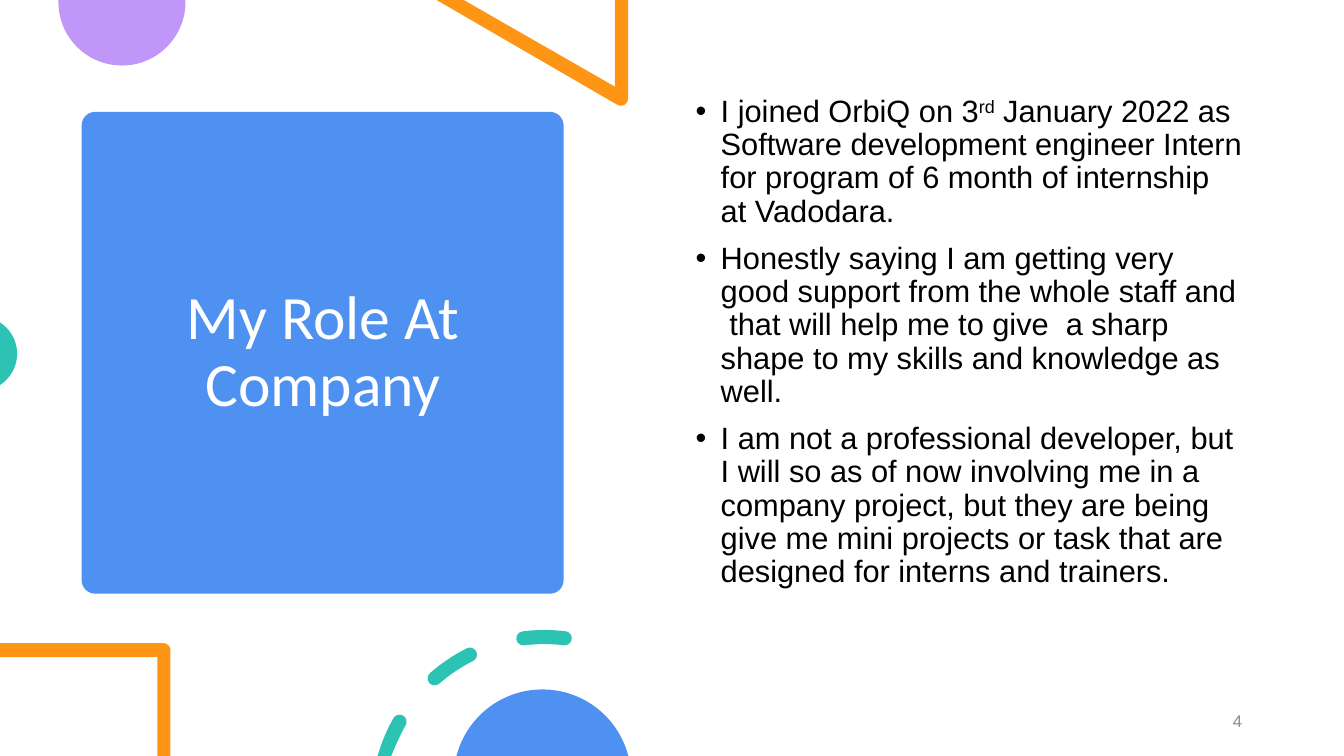
import math

from pptx import Presentation
from pptx import util as u
from pptx.dml.color import RGBColor
from pptx.enum import shapes, text
from pptx.oxml import parse_xml
from pptx.oxml.ns import nsdecls, qn

COLORS = {
    "blue": "4E91F0",
    "orange": "FF9514",
    "teal": "2CC3B4",
    "purple": "C097F8",
    "white": "FFFFFF",
    "black": "000000",
    "gray": "8C8C8C",
}
WIDTH, HEIGHT = 13.33, 7.5
ROUNDING = 0.07  # radius of stroke ends and corners

ROLE_POINTS = [
    [("I joined OrbiQ on 3", False), ("rd", True),
     (" January 2022 as Software development engineer Intern for program "
      "of 6 month of internship at Vadodara.", False)],
    [("Honestly saying I am getting very good support from the whole staff "
      "and  that will help me to give  a sharp shape to my skills and "
      "knowledge as well.", False)],
    [("I am not a professional developer, but I will so as of now involving "
      "me in a company project, but they are being give me mini projects or "
      "task that are designed for interns and trainers.", False)],
]


def inches(values):
    return [u.Inches(v) for v in values]


def paint(sp, color):
    """Give a shape a flat fill without line or shadow."""
    sp.shadow.inherit = False
    sp.fill.solid()
    sp.fill.fore_color.rgb = RGBColor.from_string(COLORS[color])
    sp.line.fill.background()


def add_run(p, content, size=22, font="Arial", color="black", superscript=False):
    r = p.add_run()
    r.text = content
    r.font.size = u.Pt(size)
    r.font.name = font
    r.font.color.rgb = RGBColor.from_string(COLORS[color])
    if superscript:
        r.font._element.set("baseline", "30000")


def set_frame(sp, anchor):
    tf = sp.text_frame
    tf.word_wrap = True
    tf.auto_size = text.MSO_AUTO_SIZE.NONE
    tf.vertical_anchor = anchor
    return tf


def lines(*points):
    return [(pt,) for pt in points]


def arc(cx, cy, r, start, end):
    """Start point and Bézier triples; degrees run clockwise from the right."""
    count = math.ceil(abs(end - start) / 90)
    step = math.radians(end - start) / count
    k = 4 / 3 * math.tan(step / 4)

    def at(a, pull):
        return (cx + r * (math.cos(a) - pull * math.sin(a)),
                cy + r * (math.sin(a) + pull * math.cos(a)))

    first = math.radians(start)
    segments = [(at(first, 0),)]
    for i in range(count):
        a, b = first + i * step, first + (i + 1) * step
        segments.append((at(a, k), at(b, -k), at(b, 0)))
    return segments


def add_outline(s, contours, color):
    """Fill closed contours of line and curve segments as one freeform."""
    fb, drawn = None, []
    for (start,), *segments in contours:
        x, y = inches(start)
        if fb is None:
            fb = s.shapes.build_freeform(x, y)
        else:
            fb.move_to(x, y)
        fb.add_line_segments([inches((px, min(py, HEIGHT)))
                              for seg in segments for px, py in seg])
        drawn += segments
    sp = fb.convert_to_shape()
    steps = iter(list(sp._element.iter(qn("a:lnTo"))))
    for seg in drawn:
        parts = [next(steps) for _ in seg]
        if len(parts) == 3:
            curve = parse_xml(f'<a:cubicBezTo {nsdecls("a")}/>')
            parts[0].addprevious(curve)
            for part in parts:
                curve.append(part[0])
                part.getparent().remove(part)
    paint(sp, color)


def dash(cx, cy, r, start, end, capped_start=True):
    """Contour of a thick arc with round ends."""
    def cap(angle, turn):
        a = math.radians(angle)
        return arc(cx + r * math.cos(a), cy + r * math.sin(a), ROUNDING,
                   angle + turn, angle + turn + 180)[1:]

    contour = arc(cx, cy, r + ROUNDING, start, end) + cap(end, 0)
    contour += arc(cx, cy, r - ROUNDING, end, start)[1:]
    return contour + cap(start, 180) if capped_start else contour


def add_top_decoration(s, left, top):
    disc = lines((left + 1.26, top), (left, top), (left, top + 0.02))
    disc += arc(left + 0.63, top + 0.02, 0.63, 180, 0)[1:]
    add_outline(s, [disc], "purple")
    triangle = lines((6.23, top), (6.1, top), (6.1, top + 0.86),
                     (4.6, top), (4.33, top))
    triangle += arc(6.16, top + 0.98, ROUNDING, 120, 0)
    add_outline(s, [triangle], "orange")


def add_left_decoration(s, middle):
    add_outline(s, [arc(-0.2, middle, 0.37, -57, 57)], "teal")


def add_bottom_decoration(s, top):
    """Corner frame, dashed ring and half disc above the slide's lower edge."""
    frame = lines((0, top + 0.13), (0, top + 0.27), (1.56, top + 0.27),
                  (1.56, HEIGHT), (1.69, HEIGHT))
    frame += arc(1.62, top + 0.2, ROUNDING, 0, -90)
    add_outline(s, [frame], "orange")

    ring = (5.4, top + 1.72, 1.65)
    add_outline(s, [dash(*ring, 195.9, 209.4, capped_start=False),
                    dash(*ring, 228.7, 243.4),
                    dash(*ring, 262.7, 277)], "teal")

    add_outline(s, [arc(5.38, top + 1.47, 0.88, 194.5, 345.5)], "blue")


def add_backdrop(s):
    backdrop = s.shapes.add_shape(shapes.MSO_SHAPE.RECTANGLE,
                                  *inches((0, 0, WIDTH, HEIGHT)))
    paint(backdrop, "white")


def add_title_panel(s, x, y, side):
    panel = s.shapes.add_shape(shapes.MSO_SHAPE.ROUNDED_RECTANGLE,
                               *inches((x, y, side, side)))
    panel.adjustments[0] = 0.028
    paint(panel, "blue")

    title = s.shapes.title
    title.left, title.top, title.width, title.height = inches(
        (x + 0.24, y + 0.11, side - 0.47, side - 0.22))
    p = set_frame(title, text.MSO_ANCHOR.MIDDLE).paragraphs[0]
    p.alignment = text.PP_ALIGN.CENTER
    p.line_spacing = 0.9
    add_run(p, "My Role At Company", size=44, font="Calibri", color="white")
    # The title sits above the panel.
    panel._element.addnext(title._element)


def add_role_points(s, box):
    sp = s.shapes.add_textbox(*inches(box))
    tf = set_frame(sp, text.MSO_ANCHOR.TOP)
    for i, runs in enumerate(ROLE_POINTS):
        p = tf.add_paragraph() if i else tf.paragraphs[0]
        p.line_spacing = 0.9
        p.space_before = u.Pt(10)
        pPr = p._p.get_or_add_pPr()
        pPr.set("marL", str(u.Inches(0.38)))
        pPr.set("indent", str(u.Inches(-0.25)))
        pPr.append(parse_xml(f'<a:buFont {nsdecls("a")} typeface="Arial"/>'))
        pPr.append(parse_xml(f'<a:buChar {nsdecls("a")} char="•"/>'))
        for content, raised in runs:
            add_run(p, content, superscript=raised)


def add_page_number(s, box):
    sp = s.shapes.add_textbox(*inches(box))
    p = set_frame(sp, text.MSO_ANCHOR.MIDDLE).paragraphs[0]
    p.alignment = text.PP_ALIGN.RIGHT
    p.space_after = u.Pt(6)
    add_run(p, "4", size=12, color="gray")


def main():
    prs = Presentation()
    prs.slide_width, prs.slide_height = inches((WIDTH, HEIGHT))
    s = prs.slides.add_slide(prs.slide_layouts[5])
    add_backdrop(s)
    add_title_panel(s, 0.81, 1.11, 4.78)
    add_top_decoration(s, 0.58, 0)
    add_left_decoration(s, 3.51)
    add_role_points(s, (6.67, 0.9, 5.75, 5.35))
    add_bottom_decoration(s, 6.25)
    add_page_number(s, (11.49, 6.95, 0.93, 0.4))
    prs.save("out.pptx")


if __name__ == "__main__":
    main()
